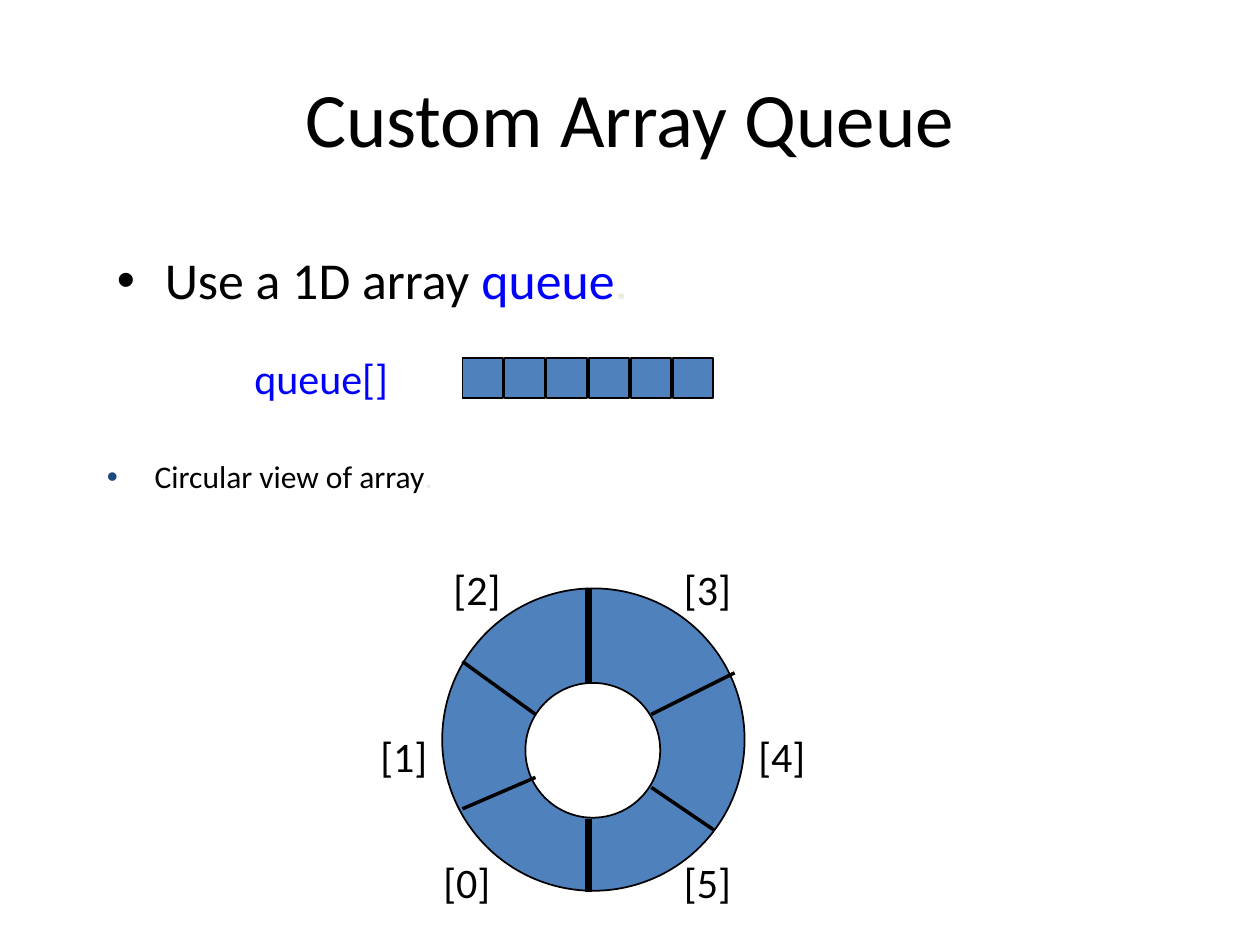
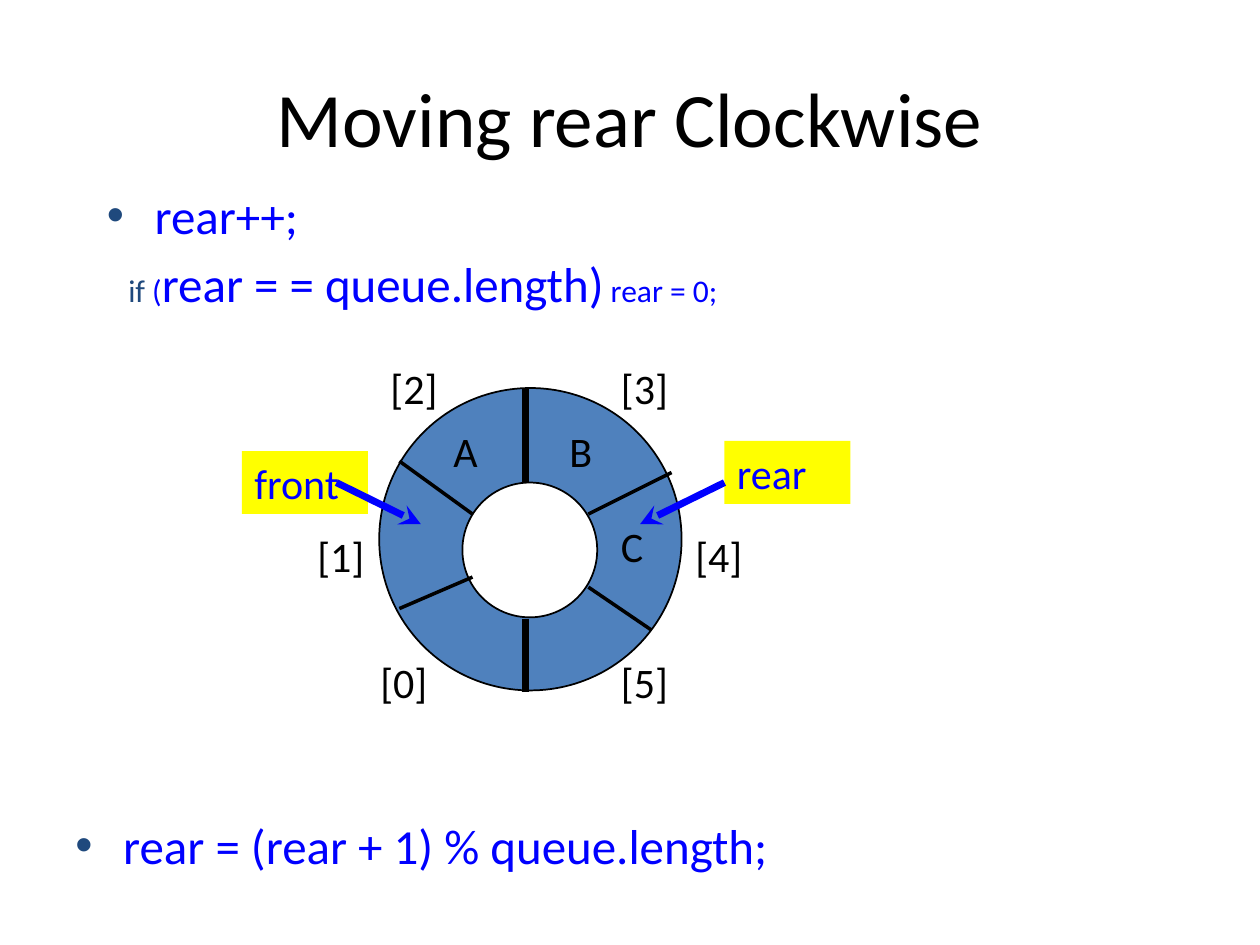
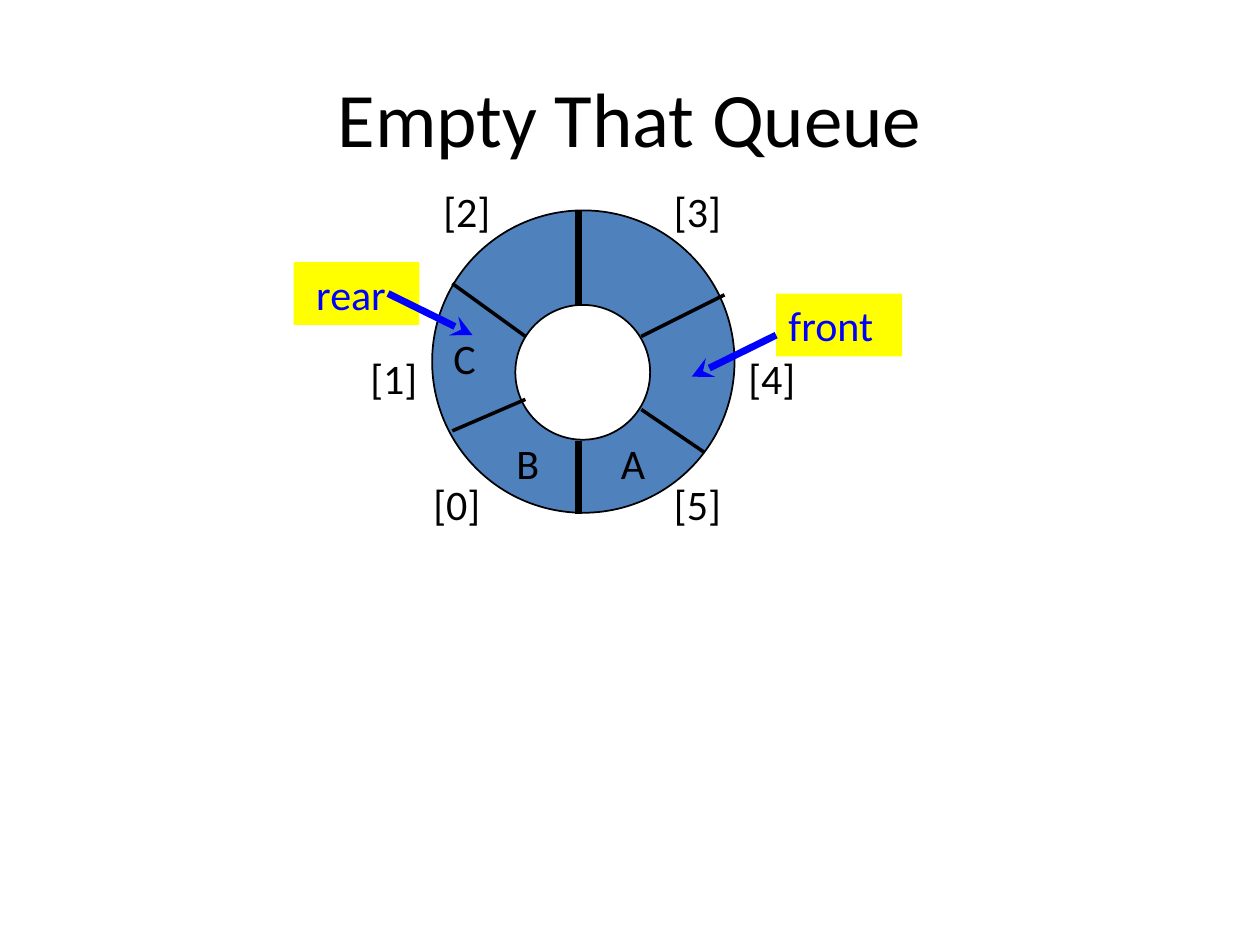
import dataclasses

import pptx
import pptx.dml.color
import pptx.enum.shapes
import pptx.enum.text
import pptx.oxml.ns
import pptx.util
from lxml import etree

Inches = pptx.util.Inches
Pt = pptx.util.Pt
PRESET = pptx.enum.shapes.MSO_SHAPE


@dataclasses.dataclass(frozen=True)
class Theme:
    font: str = "Calibri"
    ink: str = "000000"
    code: str = "0000FF"
    faint: str = "EEECE1"
    navy: str = "1F497D"
    slot: str = "4F81BD"
    hole: str = "FFFFFF"
    tag: str = "FFFF00"
    title_size: float = 44
    lead_size: float = 29.6
    code_size: float = 28
    label_size: float = 24
    small_size: float = 18
    outline: float = 1
    divider: float = 2
    heavy: float = 4


THEME = Theme()

# Offsets in inches from the ring's top-left corner, slots [0] to [5].
SLOT_LABELS = [(-0.08, 2.08), (-0.58, 1.08), (0, -0.25),
               (1.83, -0.25), (2.42, 1.08), (1.83, 2.08)]
SLOT_ITEMS = [(0.58, 1.75), (0.08, 0.92), (0.5, 0.25),
              (1.42, 0.25), (1.83, 1), (1.41, 1.75)]
HEAVY_DIVIDERS = [((1.17, 0), (1.17, 0.75)), ((1.17, 1.83), (1.17, 2.41))]
LIGHT_DIVIDERS = [((0.17, 0.58), (0.75, 1)), ((0.75, 1.5), (0.17, 1.75)),
                  ((1.67, 1), (2.33, 0.67)), ((1.67, 1.58), (2.17, 1.92))]


def rgb(color):
    return pptx.dml.color.RGBColor.from_string(color)


def add_bullet(paragraph, color):
    properties = paragraph._p.get_or_add_pPr()
    tint = etree.SubElement(properties, pptx.oxml.ns.qn("a:buClr"))
    etree.SubElement(tint, pptx.oxml.ns.qn("a:srgbClr"), val=color)
    etree.SubElement(properties, pptx.oxml.ns.qn("a:buFont"), typeface="Arial")
    etree.SubElement(properties, pptx.oxml.ns.qn("a:buChar"), char="•")


def write(shape, paragraphs, size=THEME.label_size, color=THEME.ink, bullet=None,
          margin=0.0, indents=(), gap=0, inset=0.1, align="LEFT", anchor="TOP"):
    """Fill a shape with paragraphs, each a list of (text, overrides) runs.

    Only the first paragraph takes the bullet; indents are first-line indents.
    """
    frame = shape.text_frame
    frame.word_wrap = True
    frame.vertical_anchor = getattr(pptx.enum.text.MSO_ANCHOR, anchor)
    frame.margin_left = Inches(inset)
    for index, runs in enumerate(paragraphs):
        paragraph = frame.add_paragraph() if index else frame.paragraphs[0]
        paragraph.alignment = getattr(pptx.enum.text.PP_ALIGN, align)
        if index:
            paragraph.space_before = Pt(gap)
        if indents:
            properties = paragraph._p.get_or_add_pPr()
            properties.set("marL", str(Inches(margin)))
            properties.set("indent", str(Inches(indents[index])))
        if bullet and index == 0:
            add_bullet(paragraph, bullet)
        for text, overrides in runs:
            run = paragraph.add_run()
            run.text = text
            run.font.name = THEME.font
            run.font.size = Pt(overrides.get("size", size))
            run.font.color.rgb = rgb(overrides.get("color", color))


def add_text(shapes, box, paragraphs, **style):
    if isinstance(paragraphs, str):
        paragraphs = [[(paragraphs, {})]]
    write(shapes.add_textbox(*map(Inches, box)), paragraphs, **style)


def add_bullets(shapes, box, paragraphs, bullet=THEME.navy, indents=(-0.38,), **style):
    add_text(shapes, box, paragraphs, bullet=bullet, margin=0.38,
             indents=indents, **style)


def add_figure(shapes, preset, box, fill, outlined=True):
    figure = shapes.add_shape(preset, *map(Inches, box))
    figure.shadow.inherit = False
    figure.fill.solid()
    figure.fill.fore_color.rgb = rgb(fill)
    if outlined:
        figure.line.color.rgb = rgb(THEME.ink)
        figure.line.width = Pt(THEME.outline)
    else:
        figure.line.fill.background()
    return figure


def add_line(shapes, start, end, width, color=THEME.ink, arrow=False):
    line = shapes.add_connector(pptx.enum.shapes.MSO_CONNECTOR.STRAIGHT,
                                *map(Inches, (*start, *end)))
    line.line.color.rgb = rgb(color)
    line.line.width = Pt(width)
    if arrow:
        etree.SubElement(line.line._get_or_add_ln(),
                         pptx.oxml.ns.qn("a:tailEnd"), type="stealth")
    etree.SubElement(line._element.spPr, pptx.oxml.ns.qn("a:effectLst"))


def add_array(slide, box, cells=6):
    """Draw a row of square cells spread over the box."""
    left, top, width, side = box
    pitch = (width - side) / (cells - 1)
    shapes = slide.shapes.add_group_shape().shapes
    for index in range(cells):
        add_figure(shapes, PRESET.RECTANGLE,
                   (left + index * pitch, top, side, side), THEME.slot)
    add_text(shapes, (left - 1.75, top - 0.09, 1.42, 0.5), "queue[]", color=THEME.code)


def add_pointer(shapes, name, left, top, on_left, inset=0.1):
    """Draw a tag whose arrow points into the ring on its inner side."""
    tag = add_figure(shapes, PRESET.RECTANGLE, (left, top, 1, 0.5),
                     THEME.tag, outlined=False)
    write(tag, [[(name, {})]], color=THEME.code, inset=inset)
    reach = 0.67 if on_left else -0.67
    start = (left + 0.75, top + 0.25) if on_left else (left, top + 0.33)
    add_line(shapes, start, (start[0] + reach, start[1] + 0.33),
             THEME.heavy, THEME.code, arrow=True)


def add_ring(slide, left, top, items=(), pointers=()):
    """Draw the circular array; items maps slots to letters, pointers are offsets."""
    shapes = slide.shapes.add_group_shape().shapes

    def at(offset):
        return left + offset[0], top + offset[1]

    add_figure(shapes, PRESET.OVAL, (*at((0.01, 0)), 2.4, 2.4), THEME.slot)
    add_figure(shapes, PRESET.OVAL, (*at((0.67, 0.75)), 1.07, 1.07), THEME.hole)
    for dividers, width in ((HEAVY_DIVIDERS, THEME.heavy),
                            (LIGHT_DIVIDERS, THEME.divider)):
        for start, end in dividers:
            add_line(shapes, at(start), at(end), width)
    for slot, offset in enumerate(SLOT_LABELS):
        add_text(shapes, (*at(offset), 0.92, 0.5), f"[{slot}]")
    for slot, letter in dict(items).items():
        add_text(shapes, (*at(SLOT_ITEMS[slot]), 0.67, 0.5), letter)
    for name, offset, style in pointers:
        add_pointer(shapes, name, *at(offset), **style)


def add_titled_slide(deck, title):
    slide = deck.slides.add_slide(deck.slide_layouts[6])
    add_text(slide.shapes, (0.5, 0.3, 9, 1.25), title, size=THEME.title_size,
             align="CENTER", anchor="MIDDLE")
    return slide


def build_array_slide(deck):
    slide = add_titled_slide(deck, "Custom Array Queue")
    period = (".", {"color": THEME.faint})
    add_bullets(slide.shapes, (0.83, 1.92, 8.5, 0.5),
                [[("Use a 1D array ", {}), ("queue", {"color": THEME.code}), period]],
                bullet=THEME.ink, size=THEME.lead_size)
    add_array(slide, (3.67, 2.84, 1.99, 0.32))
    add_bullets(slide.shapes, (0.75, 3.58, 8.5, 0.5),
                [[("Circular view of array", {}), period]], size=THEME.small_size)
    add_ring(slide, 3.5, 4.67)


def build_rear_slide(deck):
    slide = add_titled_slide(deck, "Moving rear Clockwise")
    add_ring(slide, 3, 3.08, items={2: "A", 3: "B", 4: "C"},
             pointers=[("front", (-1.08, 0.5), {"on_left": True}),
                       ("rear", (2.75, 0.42), {"on_left": False})])
    small = {"size": THEME.small_size}
    add_bullets(slide.shapes, (0.75, 1.42, 9, 1.25),
                [[("rear++;", {})],
                 [("if ", {**small, "color": THEME.navy}), ("(", small),
                  ("rear = = queue.length)", {}), (" rear = 0;", small)]],
                size=THEME.code_size, color=THEME.code, indents=(-0.38, -0.21), gap=5.6)
    add_bullets(slide.shapes, (0.5, 6.42, 9, 0.75), "rear = (rear + 1) % queue.length;",
                size=THEME.code_size, color=THEME.code)


def build_empty_slide(deck):
    slide = add_titled_slide(deck, "Empty That Queue")
    add_ring(slide, 3.42, 1.67, items={5: "A", 0: "B", 1: "C"},
             pointers=[("front", (2.74, 0.66), {"on_left": False}),
                       ("rear", (-1.09, 0.41), {"on_left": True, "inset": 0.18})])


def main():
    deck = pptx.Presentation()
    deck.slide_width = Inches(10)
    deck.slide_height = Inches(7.5)
    build_array_slide(deck)
    build_rear_slide(deck)
    build_empty_slide(deck)
    deck.save("out.pptx")


if __name__ == "__main__":
    main()
